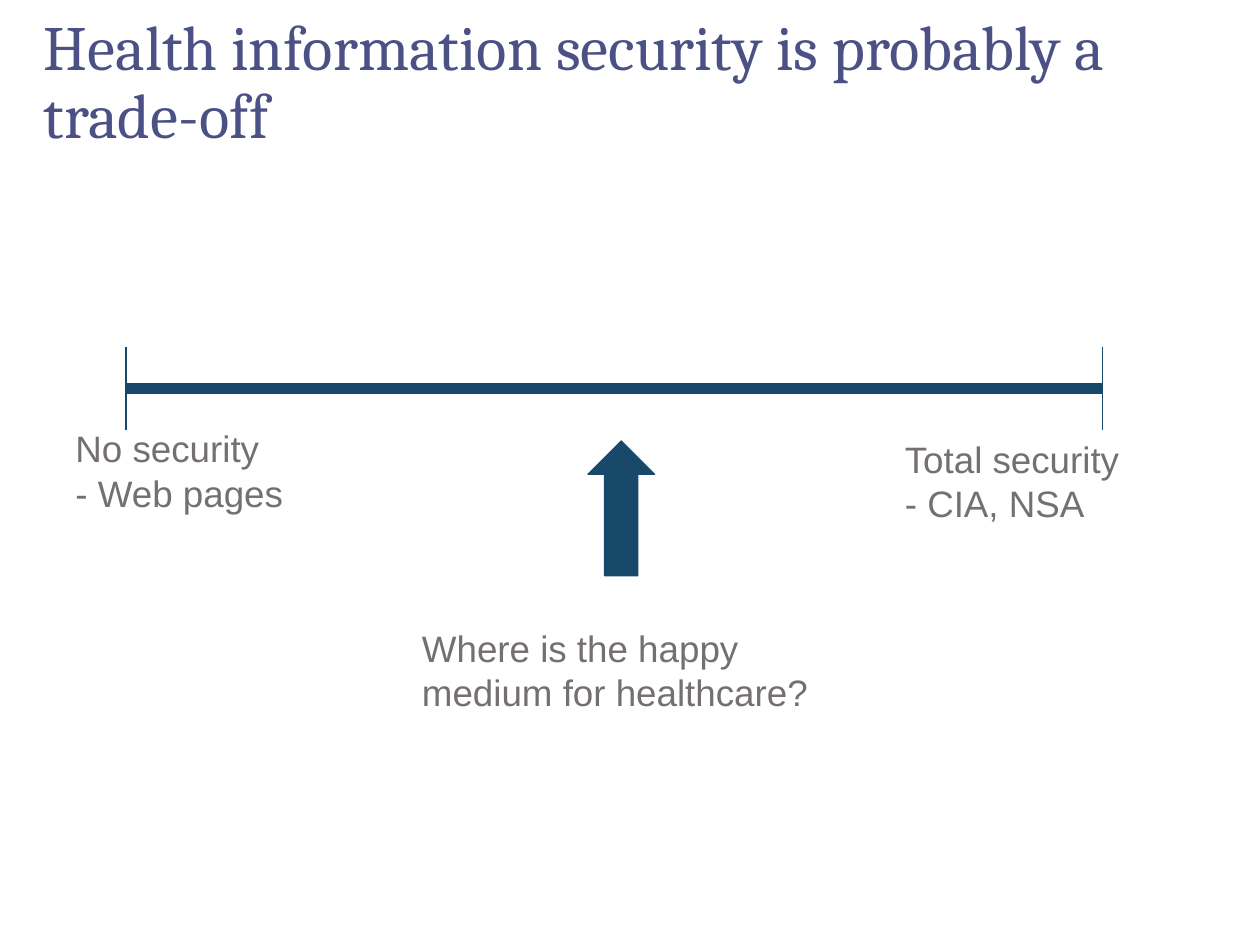
from pptx import Presentation
from pptx.dml.color import RGBColor
from pptx.enum.shapes import MSO_CONNECTOR as Connector, MSO_SHAPE as Shape
from pptx.enum.text import MSO_ANCHOR as Anchor, MSO_AUTO_SIZE as AutoSize
from pptx.oxml.ns import qn
from pptx.util import Pt
from lxml.etree import SubElement

NAVY = "18496B"
PURPLE = "4B5185"
GRAY = "757070"

SCALE_LEFT, SCALE_RIGHT, SCALE_Y = 72, 630, 222
TICK_TOP, TICK_BOTTOM = 198, 246


def color(hex_string):
    return RGBColor.from_string(hex_string)


def format_runs(text_frame, font_name, size, hex_string):
    for paragraph in text_frame.paragraphs:
        for run in paragraph.runs:
            run.font.name = font_name
            run.font.size = Pt(size)
            run.font.color.rgb = color(hex_string)


def add_title(slide, text):
    text_box = slide.shapes.add_textbox(Pt(18), Pt(12), Pt(685), Pt(72))
    text_frame = text_box.text_frame
    text_frame.word_wrap = True
    text_frame.vertical_anchor = Anchor.MIDDLE
    text_frame.text = text
    text_frame.paragraphs[0].line_spacing = 0.9
    format_runs(text_frame, "Cambria", 36, PURPLE)


def add_label(slide, left, top, width, text):
    text_box = slide.shapes.add_textbox(Pt(left), Pt(top), Pt(width), Pt(58))
    text_frame = text_box.text_frame
    text_frame.word_wrap = False
    text_frame.auto_size = AutoSize.SHAPE_TO_FIT_TEXT
    text_frame.text = text
    format_runs(text_frame, "Arial", 21, GRAY)


def add_line(slide, start_x, start_y, end_x, end_y, weight):
    connector = slide.shapes.add_connector(
        Connector.STRAIGHT, Pt(start_x), Pt(start_y), Pt(end_x), Pt(end_y))
    connector.line.color.rgb = color(NAVY)
    connector.line.width = Pt(weight)
    SubElement(connector.element.spPr, qn("a:effectLst"))


def add_up_arrow(slide, left, top, width, height):
    arrow = slide.shapes.add_shape(
        Shape.UP_ARROW, Pt(left), Pt(top), Pt(width), Pt(height))
    arrow.shadow.inherit = False
    arrow.fill.solid()
    arrow.fill.fore_color.rgb = color(NAVY)
    arrow.line.color.rgb = color(NAVY)
    arrow.line.width = Pt(0.75)


def main():
    presentation = Presentation()
    presentation.slide_width = Pt(720)
    presentation.slide_height = Pt(540)
    slide = presentation.slides.add_slide(presentation.slide_layouts[6])

    add_title(slide, "Health information security is probably a trade-off")
    add_line(slide, SCALE_LEFT, SCALE_Y, SCALE_RIGHT, SCALE_Y, 6)
    add_label(slide, 36, 240, 134, "No security\n- Web pages")
    add_label(slide, 510, 246, 138, "Total security\n- CIA, NSA")
    add_up_arrow(slide, 336, 252, 38, 77)
    add_label(slide, 234, 354, 237, "Where is the happy\nmedium for healthcare?")
    for tick_x in (SCALE_RIGHT, SCALE_LEFT):
        add_line(slide, tick_x, TICK_TOP, tick_x, TICK_BOTTOM, 0.75)

    presentation.save("out.pptx")


if __name__ == "__main__":
    main()
